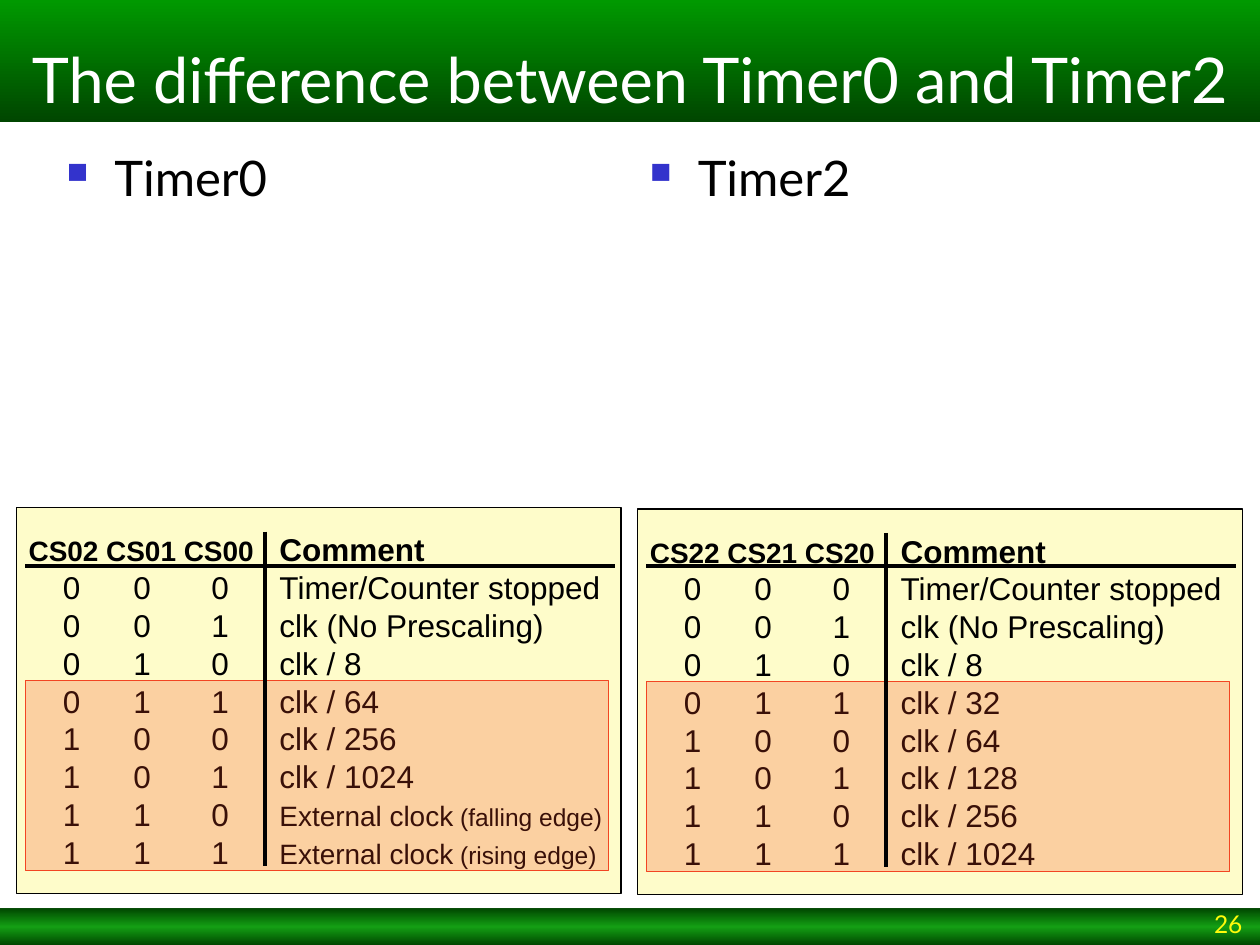
"""Build the slide that compares the prescalers of Timer0 and Timer2."""
from copy import deepcopy
from lxml.etree import SubElement as Sub
from pptx import Presentation
from pptx.dml.color import RGBColor as RGB
from pptx.enum.shapes import MSO_CONNECTOR as LINK, MSO_SHAPE as SHAPE
from pptx.enum.text import MSO_ANCHOR as ANCHOR, PP_ALIGN as ALIGN
from pptx.oxml.ns import qn
from pptx.util import Inches, Pt

BLACK = RGB(0x00, 0x00, 0x00)
WHITE = RGB(0xFF, 0xFF, 0xFF)
GREEN = RGB(0x00, 0x99, 0x00)
DARK = RGB(0x00, 0x46, 0x00)
CREAM = RGB(0xFE, 0xFC, 0xCA)
RED = RGB(0xF2, 0x45, 0x22)
BLUE = RGB(0x33, 0x33, 0xCC)
GOLD = RGB(0xFF, 0xFB, 0x0B)

deck = Presentation()
deck.slide_width, deck.slide_height = Inches(10), Inches(7.5)
slide = deck.slides.add_slide(deck.slide_layouts[6])
COL, ROW = deck.slide_width // 1000, deck.slide_height // 750


def write(para, text, size=18, color=BLACK, font="Arial", bold=False):
    run = para.add_run()
    run.text = text
    run.font.size, run.font.name, run.font.bold = Pt(size), font, bold
    run.font.color.rgb = color


def block(x, y, wide, high, fill=None, line=None, alpha=None):
    box = slide.shapes.add_shape(
        SHAPE.RECTANGLE, x * COL, y * ROW, wide * COL, high * ROW)
    box.shadow.inherit = False
    if fill:
        box.fill.solid()
        box.fill.fore_color.rgb = fill
    if alpha:
        tone = box._element.spPr.find(qn("a:solidFill"))[0]
        Sub(tone, qn("a:alpha"), val=str(alpha * 1000))
    if line:
        box.line.color.rgb, box.line.width = line, Pt(0.75)
    else:
        box.line.fill.background()
    return box


foot = block(0, 721, 1000, 29)
head = block(0, 0, 1000, 97)
for bar, ends in ((foot, (DARK, DARK)), (head, (GREEN, DARK))):
    bar.fill.gradient()
    bar.fill.gradient_angle = 270
    for stop, tone, pos in zip(bar.fill.gradient_stops, ends, (0, 1)):
        stop.color.rgb, stop.position = tone, pos
stops = foot._element.spPr.find(qn("a:gradFill")).find(qn("a:gsLst"))
stops.insert(1, deepcopy(stops[0]))
mid = foot.fill.gradient_stops[1]
mid.color.rgb, mid.position = GREEN, 0.5
Sub(stops[1][0], qn("a:alpha"), val="92000")

head.text_frame.word_wrap = True
head.text_frame.vertical_anchor = ANCHOR.BOTTOM
title = head.text_frame.paragraphs[0]
title.alignment = ALIGN.CENTER
write(title, "The difference between Timer0 and Timer2", 36, WHITE, "Lato")

STEPS = ("Timer/Counter stopped", "clk (No Prescaling)", "clk / 8")
TIMERS = (
    ("0", 43, 13, 403, STEPS + (
        "clk / 64", "clk / 256", "clk / 1024",
        "External clock| (falling edge)", "External clock| (rising edge)")),
    ("2", 506, 506, 404, STEPS + (
        "clk / 32", "clk / 64", "clk / 128", "clk / 256", "clk / 1024")),
)
TABS = (0.27, 0.83, 1.45, 1.99)

for name, left, x, y, notes in TIMERS:
    label = slide.shapes.add_textbox(left * COL, 112 * ROW, 454 * COL, 192 * ROW)
    label.text_frame.word_wrap = True
    para = label.text_frame.paragraphs[0]
    para.space_before = Pt(7)
    write(para, f"Timer{name}", 28, font="Lato")
    props = para._p.get_or_add_pPr()
    props.set("marL", str(Inches(0.38)))
    props.set("indent", str(-Inches(0.38)))
    Sub(Sub(props, qn("a:buClr")), qn("a:srgbClr"), val=str(BLUE))
    Sub(props, qn("a:buSzPct"), val="60000")
    Sub(props, qn("a:buChar"), char="■")

for name, left, x, y, notes in TIMERS:
    panel = block(x, y, 480, 306, CREAM, BLACK)
    frame = panel.text_frame
    frame.word_wrap = True
    frame.vertical_anchor = ANCHOR.MIDDLE
    for count in range(len(notes) + 1):
        para = frame.add_paragraph() if count else frame.paragraphs[0]
        para.alignment = ALIGN.LEFT
        para.line_spacing = Pt(21.6)
        tabs = Sub(para._p.get_or_add_pPr(), qn("a:tabLst"))
        for tab in TABS:
            Sub(tabs, qn("a:tab"), pos=str(Inches(tab)), algn="l")
        if count == 0:
            write(para, " ".join(f"CS{name}{bit}" for bit in (2, 1, 0)), 16, bold=True)
            write(para, "\tComment", bold=True)
            continue
        bits = "\t".join(f"{count - 1:03b}")
        main, _, edge = notes[count - 1].partition("|")
        write(para, f"\t{bits}\t")
        write(para, main, 16 if edge else 18)
        if edge:
            write(para, edge, 14)

    rules = ((x + 7, 449, x + 475, 449), (x + 197, y + 19, x + 197, y + 284))
    for place, (x1, y1, x2, y2) in enumerate(rules):
        if place:
            block(x + 7, y + 137, 463, 151, RED, RED, 24)
        rule = slide.shapes.add_connector(
            LINK.STRAIGHT, x1 * COL, y1 * ROW, x2 * COL, y2 * ROW)
        rule.line.color.rgb, rule.line.width = BLACK, Pt(2.25)
        Sub(rule._element.spPr, qn("a:effectLst"))

page = slide.shapes.add_textbox(783 * COL, 722 * ROW, 213 * COL, 28 * ROW)
page.text_frame.word_wrap = True
page.text_frame.vertical_anchor = ANCHOR.BOTTOM
para = page.text_frame.paragraphs[0]
para.alignment = ALIGN.RIGHT
write(para, "26", 14, GOLD, "Lato")

deck.save("out.pptx")
